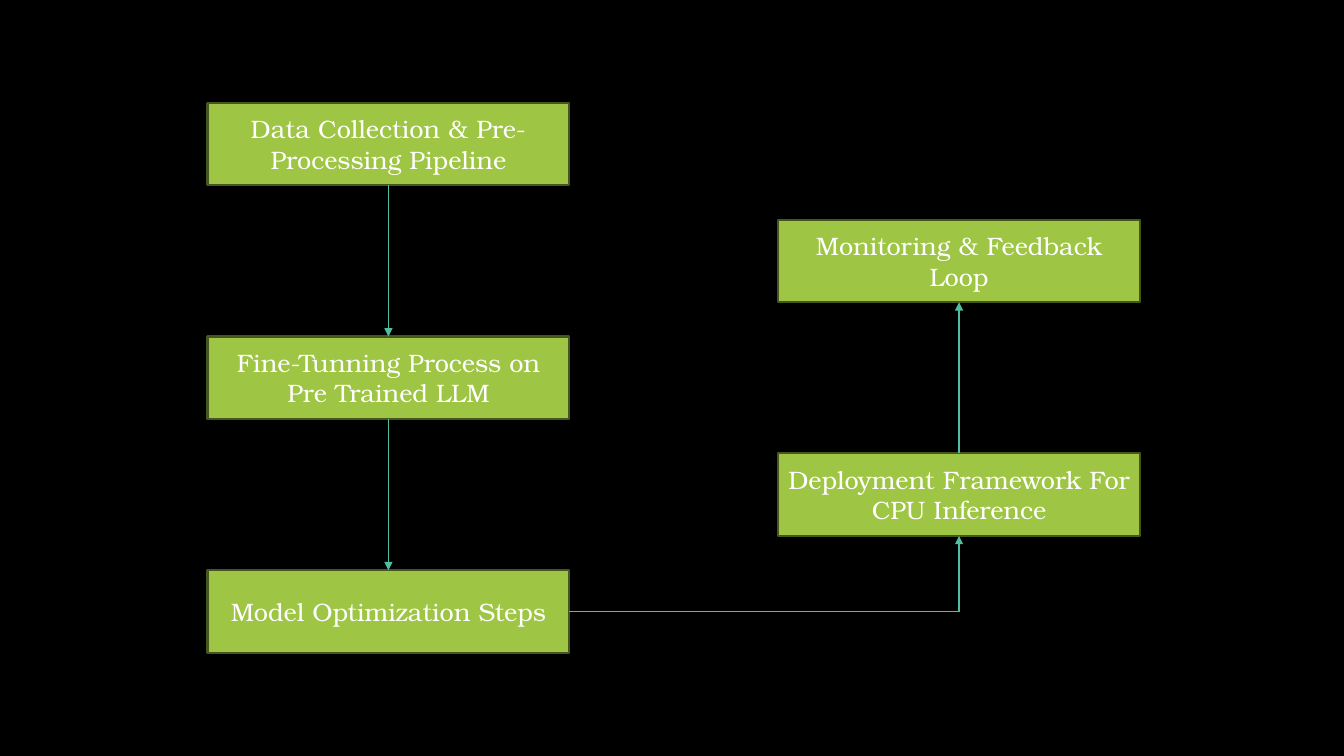
import pptx
import pptx.dml.color
import pptx.enum.shapes
import pptx.enum.text
import pptx.oxml
import pptx.oxml.ns
import pptx.util
from pptx.util import Cm

COLOURS = {
    "background": "000000",
    "box": "9EC544",
    "border": "45561E",
    "arrow": "50BEA3",
    "text": "FFFFFF",
}
FONT = "TeX Gyre Bonum"
BOX_WIDTH, BOX_HEIGHT = 9.12, 2.08
LEFT_COLUMN, RIGHT_COLUMN = 5.23, 19.61
FIRST_TOP, ROW_PITCH = 2.59, 5.89
STEPS = [
    ("Data Collection & Pre- Processing Pipeline", LEFT_COLUMN, 0),
    ("Fine-Tunning Process on Pre Trained LLM", LEFT_COLUMN, 1),
    ("Model Optimization Steps", LEFT_COLUMN, 2),
    ("Deployment Framework For CPU Inference", RIGHT_COLUMN, 1.5),
    ("Monitoring & Feedback Loop", RIGHT_COLUMN, 0.5),
]


def colour(name):
    """Return the named colour."""
    return pptx.dml.color.RGBColor.from_string(COLOURS[name])


def add_step(page, text, left, row):
    """Add one process box with centred text."""
    box = page.shapes.add_shape(
        pptx.enum.shapes.MSO_SHAPE.RECTANGLE,
        Cm(left), Cm(FIRST_TOP + row * ROW_PITCH), Cm(BOX_WIDTH), Cm(BOX_HEIGHT))
    box.shadow.inherit = False
    box.fill.solid()
    box.fill.fore_color.rgb = colour("box")
    box.line.color.rgb = colour("border")
    box.line.width = pptx.util.Pt(1.5)
    frame = box.text_frame
    frame.text = text
    frame.word_wrap = True
    frame.vertical_anchor = pptx.enum.text.MSO_ANCHOR.MIDDLE
    para = frame.paragraphs[0]
    para.alignment = pptx.enum.text.PP_ALIGN.CENTER
    span = para.runs[0]
    span.font.name = FONT
    span.font.size = pptx.util.Pt(18)
    span.font.color.rgb = colour("text")
    return box


def add_line(page, start, end, arrow=True):
    """Add a straight line between two points, with an optional arrowhead."""
    line = page.shapes.add_connector(
        pptx.enum.shapes.MSO_CONNECTOR.STRAIGHT, *start, *end)
    line.line.color.rgb = colour("arrow")
    line.line.width = pptx.util.Pt(1)
    if arrow:
        head = pptx.oxml.parse_xml(
            f'<a:tailEnd {pptx.oxml.ns.nsdecls("a")} type="triangle"/>')
        line.line._get_or_add_ln().append(head)
    line._element.spPr.append(
        pptx.oxml.parse_xml(f'<a:effectLst {pptx.oxml.ns.nsdecls("a")}/>'))


def top_of(box):
    """Return the middle of the top edge."""
    return box.left + box.width // 2, box.top


def bottom_of(box):
    """Return the middle of the bottom edge."""
    return box.left + box.width // 2, box.top + box.height


def right_of(box):
    """Return the middle of the right edge."""
    return box.left + box.width, box.top + box.height // 2


def main():
    """Build the process flow slide."""
    deck = pptx.Presentation()
    deck.slide_width, deck.slide_height = Cm(33.87), Cm(19.05)
    page = deck.slides.add_slide(deck.slide_layouts[6])
    page.background.fill.solid()
    page.background.fill.fore_color.rgb = colour("background")

    collection, tuning, optimization, deployment, monitoring = [
        add_step(page, *step) for step in STEPS]
    add_line(page, bottom_of(collection), top_of(tuning))
    add_line(page, bottom_of(tuning), top_of(optimization))
    corner = bottom_of(deployment)[0], right_of(optimization)[1]
    add_line(page, right_of(optimization), corner, arrow=False)
    add_line(page, corner, bottom_of(deployment))
    add_line(page, top_of(deployment), bottom_of(monitoring))
    deck.save("out.pptx")


if __name__ == "__main__":
    main()
